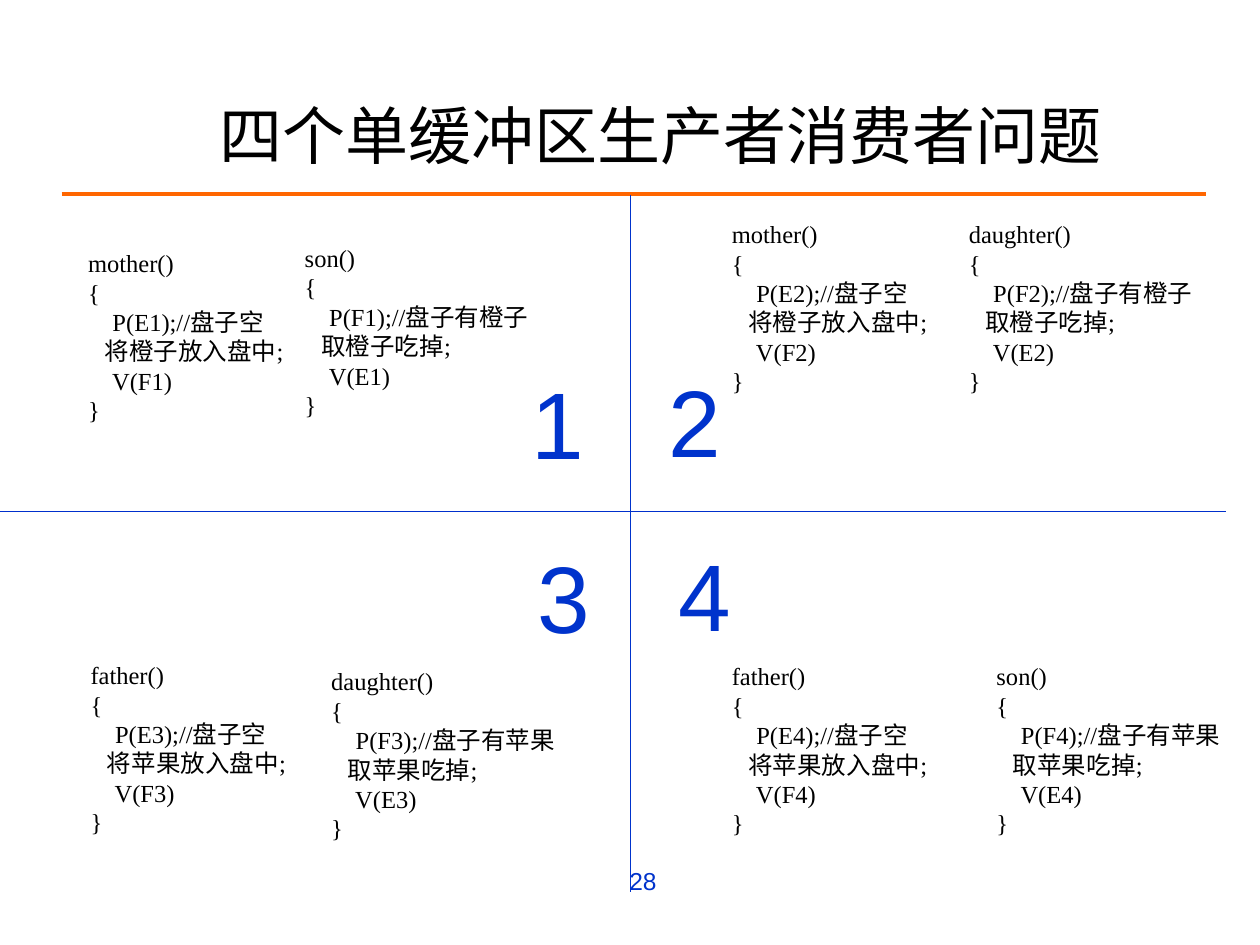
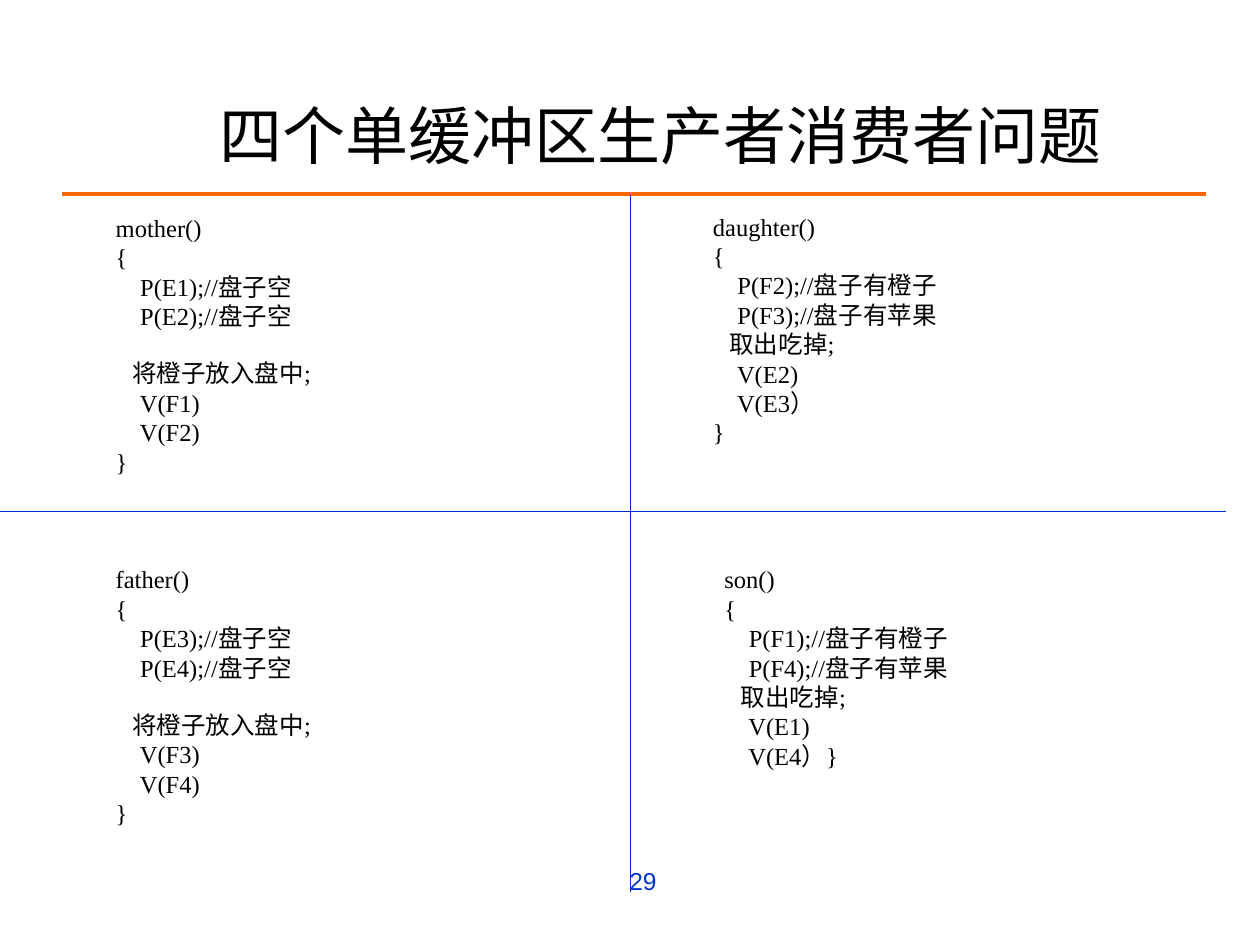
from pptx import Presentation
from pptx import util as u
from pptx.dml.color import RGBColor
from pptx.enum import shapes, text
from pptx.oxml.ns import qn
from lxml import etree

PX = 9144
BLACK = RGBColor(0x00, 0x00, 0x00)
BLUE = RGBColor(0x00, 0x33, 0xCC)
DEEP = RGBColor(0x00, 0x2F, 0xCC)
ORANGE = RGBColor(0xFF, 0x66, 0x00)
LEFT, MID, RIGHT = text.PP_ALIGN.LEFT, text.PP_ALIGN.CENTER, text.PP_ALIGN.RIGHT
TOP, CENTER = text.MSO_ANCHOR.TOP, text.MSO_ANCHOR.MIDDLE

STYLES = {
    "title": dict(font=dict(name="Arial", size=u.Pt(36)), ink=BLACK, align=LEFT, anchor=CENTER, wrap=True),
    "page": dict(font=dict(name="Arial", size=u.Pt(14)), ink=BLUE, align=RIGHT, anchor=TOP, wrap=True),
    "code": dict(font=dict(name="Times New Roman", size=u.Pt(14)), ink=BLACK, align=LEFT, anchor=TOP, wrap=True),
    "number": dict(font=dict(name="Arial", size=u.Pt(54)), ink=BLUE, align=MID, anchor=TOP, wrap=False),
}


def write(slide, kind, box, lines):
    style = STYLES[kind]
    frame = slide.shapes.add_textbox(*(n * PX for n in box)).text_frame
    frame.word_wrap = style["wrap"]
    frame.vertical_anchor = style["anchor"]
    gap = False
    for i, line in enumerate(lines):
        if line is None:
            gap = True
            continue
        para = frame.paragraphs[0] if i == 0 else frame.add_paragraph()
        para.alignment = style["align"]
        if gap:
            para.space_before = u.Pt(16)
            gap = False
        run = para.add_run()
        run.text = line
        run.font.color.rgb = style["ink"]
        for key, value in style["font"].items():
            setattr(run.font, key, value)


def rule(slide, ends, color, width):
    line = slide.shapes.add_connector(shapes.MSO_CONNECTOR.STRAIGHT, *(n * PX for n in ends))
    line.line.color.rgb = color
    line.line.width = u.Pt(width)
    etree.SubElement(line._element.spPr, qn("a:effectLst"))


pairs = [
    (1, "mother", (60, 192), "son", (232, 188), "橙子"),
    (2, "mother", (571, 169), "daughter", (759, 169), "橙子"),
    (3, "father", (62, 519), "daughter", (253, 524), "苹果"),
    (4, "father", (571, 520), "son", (781, 520), "苹果"),
]
single = []
for n, maker, put, eater, take, fruit in pairs:
    single += [
        (*put, 150, [f"{maker}()", "{", f"    P(E{n});//盘子空", f"   将{fruit}放入盘中;", f"    V(F{n})", "}"]),
        (*take, 150, [f"{eater}()", "{", f"    P(F{n});//盘子有{fruit}", f"   取{fruit}吃掉;", f"    V(E{n})", "}"]),
    ]

merged = []
for maker, y, a, b in [("mother", 164, 1, 2), ("father", 443, 3, 4)]:
    merged.append((82, y, 220, [
        f"{maker}()", "{", f"    P(E{a});//盘子空", f"    P(E{b});//盘子空", None,
        "   将橙子放入盘中;", f"    V(F{a})", f"    V(F{b})", "}"]))
for eater, x, y, high, a, b, close in [
    ("daughter", 556, 163, 197, 2, 3, ["    V(E3）", "}"]),
    ("son", 565, 443, 174, 1, 4, ["    V(E4）}"]),
]:
    merged.append((x, y, high, [
        f"{eater}()", "{", f"    P(F{a});//盘子有橙子", f"    P(F{b});//盘子有苹果",
        "   取出吃掉;", f"    V(E{a})", *close]))

numbers = [("1", 412, 285), ("2", 521, 283), ("3", 417, 423), ("4", 529, 421)]

deck = Presentation()
deck.slide_width, deck.slide_height = 1000 * PX, 750 * PX
for page, blocks, marks in [("28", single, numbers), ("29", merged, [])]:
    slide = deck.slides.add_slide(deck.slide_layouts[6])
    rule(slide, (49, 154, 957, 154), ORANGE, 2.25)
    write(slide, "title", (164, 75, 726, 64), ["四个单缓冲区生产者消费者问题"])
    write(slide, "page", (280, 682, 251, 52), [page])
    for x, y, high, lines in blocks:
        write(slide, "code", (x, y, 241, high), lines)
    rule(slide, (0, 406, 973, 406), DEEP, 0.75)
    rule(slide, (500, 155, 500, 708), BLUE, 0.5)
    for mark, x, y in marks:
        write(slide, "number", (x, y, 61, 100), [mark])

deck.save("out.pptx")
